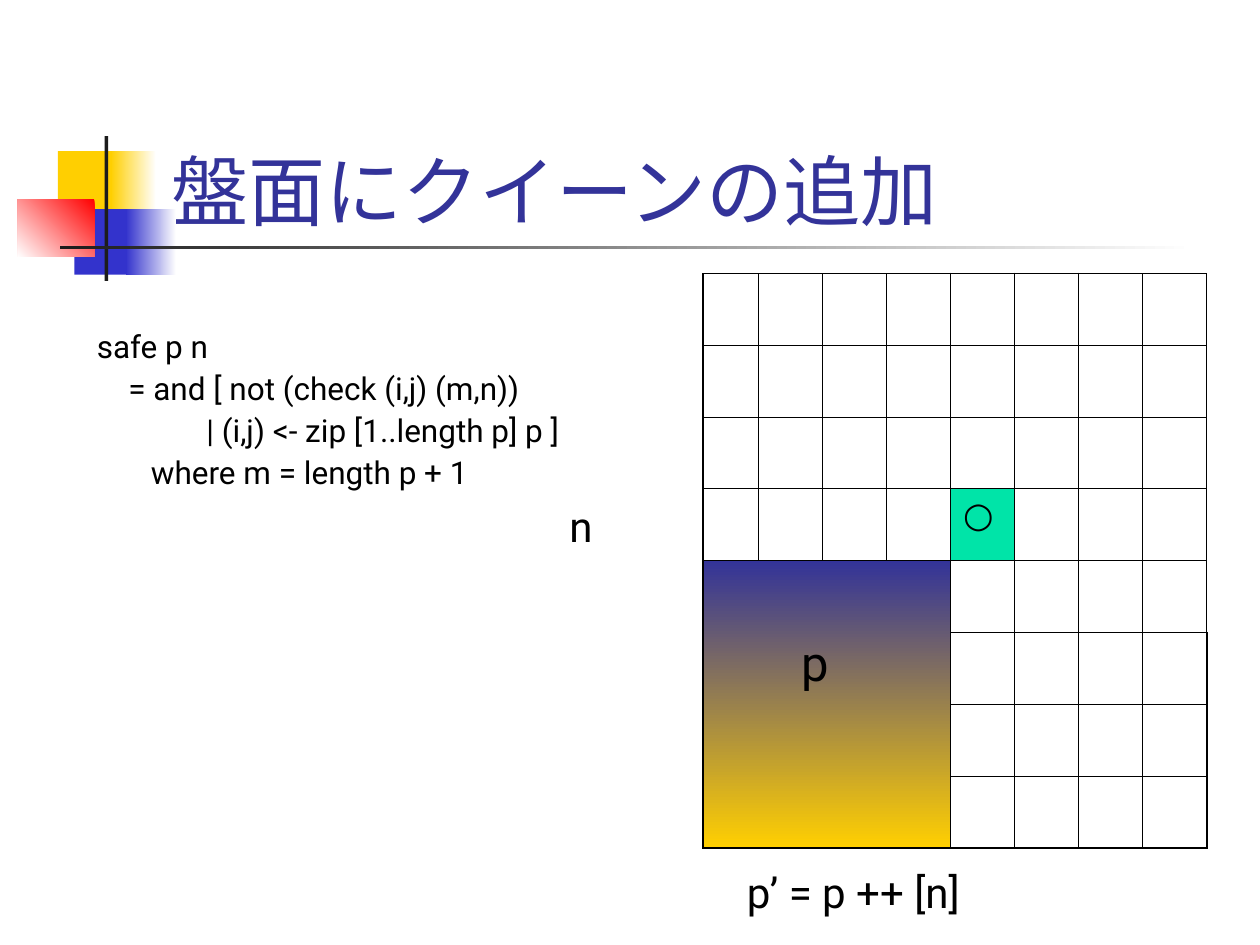
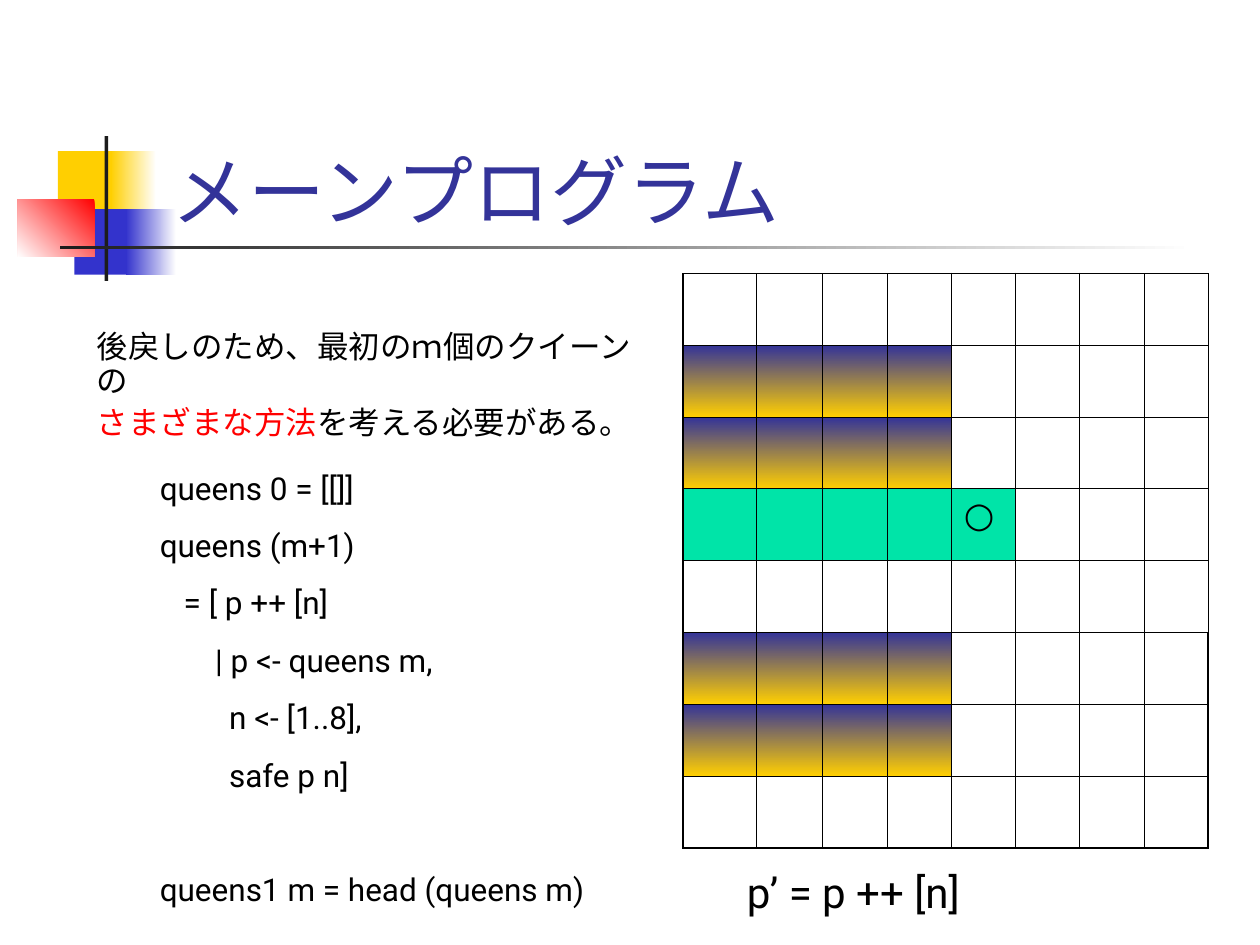
from lxml import etree
from pptx import Presentation
from pptx.dml.color import RGBColor
from pptx.enum.shapes import MSO_SHAPE
from pptx.enum.text import MSO_ANCHOR, MSO_AUTO_SIZE, PP_ALIGN
from pptx.oxml.ns import qn
from pptx.util import Inches, Pt

RECTANGLE = MSO_SHAPE.RECTANGLE
BOTTOM = MSO_ANCHOR.BOTTOM
TOP = MSO_ANCHOR.TOP
LEFT = PP_ALIGN.LEFT
FIXED_SIZE = MSO_AUTO_SIZE.NONE
GROW = MSO_AUTO_SIZE.SHAPE_TO_FIT_TEXT

BLACK = RGBColor(0x00, 0x00, 0x00)
WHITE = RGBColor(0xFF, 0xFF, 0xFF)
INK = RGBColor(0x1C, 0x1C, 0x1C)
YELLOW = RGBColor(0xFF, 0xCF, 0x01)
BLUE = RGBColor(0x33, 0x33, 0xCC)
NAVY = RGBColor(0x33, 0x33, 0x99)
RED = RGBColor(0xFF, 0x00, 0x00)
GREEN = RGBColor(0x00, 0xE4, 0xA8)

FONT = "Roboto"
TITLE_ONLY = 5
BOARD_SIZE = 8
ROW_HEIGHT = 0.57
THIN, THICK = Pt(0.45), Pt(1.08)
THICK_TOP_COLUMNS = (1, 3, 4, 5, 6)
QUEEN = (3, 4)

DECORATIONS = [
    (0.46, 1.2, 0.48, 0.52, (YELLOW,)),
    (0.88, 1.2, 0.36, 0.52, (WHITE, YELLOW, 180)),
    (0.59, 1.66, 0.46, 0.52, (BLUE,)),
    (1, 1.66, 0.4, 0.52, (WHITE, BLUE, 180)),
    (0.14, 1.58, 0.61, 0.46, (RED, WHITE, 225)),
    (0.83, 1.08, 0.03, 1.15, (INK,)),
    (0.48, 1.95, 9, 0.03, (WHITE, INK, 180)),
]
PLACED = (NAVY, YELLOW, 270)


class Deck:
    def __init__(self):
        self.presentation = Presentation()
        self.presentation.slide_width = Inches(10)
        self.presentation.slide_height = Inches(7.5)
        self.slide = None

    def add_slide(self, title):
        layout = self.presentation.slide_layouts[TITLE_ONLY]
        self.slide = self.presentation.slides.add_slide(layout)
        for left, top, width, height, colors in DECORATIONS:
            self.block(left, top, width, height, colors)
        shape = self.slide.shapes.title
        shape.left, shape.top = Inches(1.26), Inches(0.67)
        shape.width, shape.height = Inches(8.52), Inches(1.25)
        frame = shape.text_frame
        frame.text = title
        frame.vertical_anchor = BOTTOM
        frame.auto_size = FIXED_SIZE
        self.style(frame.paragraphs[0], 44, NAVY)

    def style(self, paragraph, size, color=BLACK, indent=0, before=0):
        paragraph.alignment = LEFT
        paragraph.space_before = Pt(before)
        paragraph.font.name = FONT
        paragraph.font.size = Pt(size)
        paragraph.font.color.rgb = color
        if indent:
            paragraph._p.get_or_add_pPr().set("marL", str(Inches(indent)))

    def paint(self, fill, colors):
        if len(colors) == 1:
            fill.solid()
            fill.fore_color.rgb = colors[0]
            return
        start, end, angle = colors
        fill.gradient()
        fill.gradient_angle = angle
        for stop, color, position in zip(fill.gradient_stops, (start, end), (0, 1)):
            stop.color.rgb = color
            stop.position = position

    def block(self, left, top, width, height, colors):
        shape = self.slide.shapes.add_shape(
            RECTANGLE, Inches(left), Inches(top), Inches(width), Inches(height))
        shape.shadow.inherit = False
        shape.line.fill.background()
        self.paint(shape.fill, colors)

    def text(self, left, top, width, height, lines, size, before, spacing=1.0):
        shape = self.slide.shapes.add_textbox(
            Inches(left), Inches(top), Inches(width), Inches(height))
        frame = shape.text_frame
        frame.word_wrap = True
        frame.auto_size = GROW
        for index, (indent, line) in enumerate(lines):
            paragraph = frame.add_paragraph() if index else frame.paragraphs[0]
            paragraph.text = line
            paragraph.line_spacing = spacing
            self.style(paragraph, size, indent=indent, before=before)
        return frame.paragraphs

    def borders(self, cell, row, column):
        last = BOARD_SIZE - 1
        thick = {
            "a:lnL": column == 0,
            "a:lnR": column == last and row > BOARD_SIZE // 2,
            "a:lnT": row == 0 and column in THICK_TOP_COLUMNS,
            "a:lnB": row == last or (cell.is_merge_origin and row + cell.span_height > last),
        }
        properties = cell._tc.get_or_add_tcPr()
        for position, (edge, is_thick) in enumerate(thick.items()):
            line = etree.Element(qn(edge), w=str(THICK if is_thick else THIN))
            fill = etree.SubElement(line, qn("a:solidFill"))
            etree.SubElement(fill, qn("a:srgbClr"), val=str(BLACK))
            properties.insert(position, line)

    def board(self, left, width, first_widths, fills, merged=None):
        table = self.slide.shapes.add_table(
            BOARD_SIZE, BOARD_SIZE, Inches(left), Inches(2.17),
            Inches(width), Inches(ROW_HEIGHT * BOARD_SIZE)).table
        table.first_row = table.horz_banding = False
        other_width = (width - sum(first_widths)) / (BOARD_SIZE - len(first_widths))
        for index, column in enumerate(table.columns):
            column.width = Inches(first_widths[index] if index < len(first_widths) else other_width)
        for row in table.rows:
            row.height = Inches(ROW_HEIGHT)
        if merged:
            first, last = merged
            table.cell(*first).merge(table.cell(*last))
        for row in range(BOARD_SIZE):
            for column in range(BOARD_SIZE):
                cell = table.cell(row, column)
                if (row, column) in fills:
                    self.paint(cell.fill, fills[row, column])
                else:
                    cell.fill.background()
                self.borders(cell, row, column)
        self.cell_text(table.cell(*QUEEN), "○", 20, before=5)
        return table

    def cell_text(self, cell, text, size, indent=0, before=0):
        cell.vertical_anchor = TOP
        cell.text = text
        self.style(cell.text_frame.paragraphs[0], size, indent=indent, before=before)

    def extended_placement(self):
        self.text(5.83, 6.83, 2.92, 0.5, [(0, "p’ = p ++ [n]")], 24, 15)


def build_safe_slide(deck):
    deck.add_slide("盤面にクイーンの追加")
    table = deck.board(5.58, 4, [0.44], {QUEEN: (GREEN,), (4, 0): PLACED}, ((4, 0), (7, 3)))
    placed = table.cell(4, 0)
    deck.cell_text(placed, "p", 28, indent=0.68)
    placed.margin_top = Inches(0.6)
    deck.text(4.42, 3.92, 0.42, 0.5, [(0, "n")], 24, 15)
    deck.text(0.67, 2.58, 4.5, 1.37, [
        (0, "safe p n"),
        (0.25, "= and [ not (check (i,j) (m,n))"),
        (0.87, "| (i,j) <- zip [1..length p] p ]"),
        (0.43, "where m = length p + 1"),
    ], 18, 4.5, 0.9)
    deck.extended_placement()


def build_main_program_slide(deck):
    deck.add_slide("メーンプログラム")
    fills = {(row, column): PLACED for row in (1, 2, 5, 6) for column in range(4)}
    fills.update({(QUEEN[0], column): (GREEN,) for column in range(QUEEN[1] + 1)})
    deck.board(5.42, 4.17, [0.58, 0.53], fills)
    reason = deck.text(0.67, 2.58, 4.5, 0.98, [
        (0, "後戻しのため、最初のｍ個のクイーンの"),
        (0, "さまざまな方法"),
    ], 18, 4.5, 0.9)
    reason[1].runs[0].font.color.rgb = RED
    reason[1].add_run().text = "を考える必要がある。"
    deck.extended_placement()
    program = deck.text(1.17, 3.67, 4, 3.6, [
        (0, "queens 0 = [[]]"),
        (0, "queens (m+1)"),
        (0.19, "= [ p ++ [n]"),
        (0.44, "| p <- queens m,"),
        (0.55, "n <- [1..8],"),
        (0.55, "safe p n]"),
        (0, "queens1 m = head (queens m)"),
    ], 18, 11.2)
    program[-1].space_before = Pt(44)


def main():
    deck = Deck()
    build_safe_slide(deck)
    build_main_program_slide(deck)
    deck.presentation.save("out.pptx")


if __name__ == "__main__":
    main()
